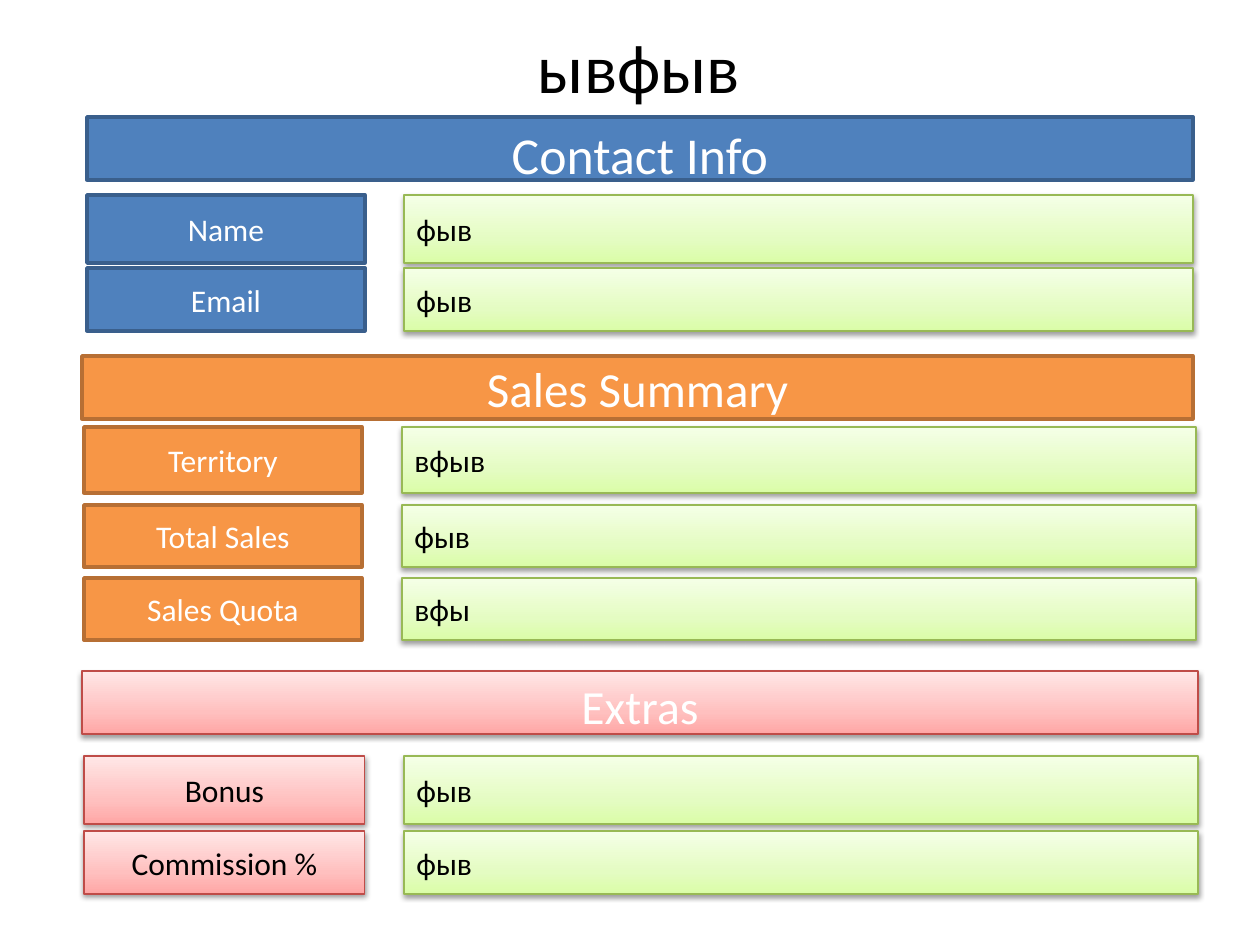
from lxml import etree
from pptx import Presentation
from pptx.dml.color import RGBColor
from pptx.enum.shapes import MSO_SHAPE
from pptx.enum.text import MSO_ANCHOR, MSO_AUTO_SIZE, PP_ALIGN
from pptx.oxml import parse_xml
from pptx.oxml.ns import nsdecls, qn
from pptx.util import Pt

RECT = MSO_SHAPE.RECTANGLE
TOP, MIDDLE = MSO_ANCHOR.TOP, MSO_ANCHOR.MIDDLE
LEFT, CENTER = PP_ALIGN.LEFT, PP_ALIGN.CENTER
PX = 914400 // 126
FONT = "Calibri"
COLORS = {"white": "FFFFFF", "black": "000000"}

# Box styles: one fill colour is flat, three make a gradient with a shadow
STYLES = {
    "blue": {"fill": ["4F81BD"], "line": "3A5F8C", "text": "white"},
    "orange": {"fill": ["F79646"], "line": "B76F34", "text": "white"},
    "red": {"fill": ["FFA6A5", "FFC0BF", "FFE7E7"], "line": "BF4C48", "text": "black"},
    "green": {"fill": ["DAFDA7", "E4FCC2", "F5FFE7"], "line": "98B955", "text": "black"},
}
STOPS = (0, 0.35, 1)

# Content: header is left, top, width; columns are left, width;
# rows are label, value, top, height
TITLE = "ывфыв"
HEADER_H = 63
SECTIONS = [
    {"title": "Contact Info", "style": "blue", "size": 29.6, "anchor": TOP,
     "header": (87, 117, 1106), "label": (87, 278), "field": (404, 789),
     "rows": [("Name", "фыв", 195, 68), ("Email", "фыв", 268, 63)]},
    {"title": "Sales Summary", "style": "orange", "size": 28, "anchor": MIDDLE,
     "header": (82, 356, 1111), "label": (84, 278), "field": (402, 794),
     "rows": [("Territory", "вфыв", 427, 66), ("Total Sales", "фыв", 505, 62),
              ("Sales Quota", "вфы", 578, 62)]},
    {"title": "Extras", "style": "red", "size": 27.2, "anchor": TOP,
     "header": (82, 671, 1116), "label": (84, 281), "field": (404, 794),
     "rows": [("Bonus", "фыв", 756, 68), ("Commission %", "фыв", 831, 63)]},
]


def rgb(value):
    return RGBColor.from_string(value)


def set_text(shape, text, size, color, align, anchor):
    tf = shape.text_frame
    tf.text = text
    tf.word_wrap = True
    tf.auto_size = MSO_AUTO_SIZE.NONE
    tf.vertical_anchor = anchor
    p = tf.paragraphs[0]
    p.alignment = align
    font = p.runs[0].font
    font.name, font.size = FONT, Pt(size)
    font.color.rgb = rgb(COLORS[color])
    return p


def add_gradient(shape, colors):
    fill = shape.fill
    fill.gradient()
    fill.gradient_angle = 90
    stops = shape._element.spPr.find(".//" + qn("a:gsLst"))
    stops.append(parse_xml(f'<a:gs {nsdecls("a")} pos="100000"><a:srgbClr val="{colors[-1]}"/></a:gs>'))
    for stop, position, color in zip(fill.gradient_stops, STOPS, colors):
        stop.position = position
        stop.color.rgb = rgb(color)


def add_shadow(shape):
    effects = shape._element.spPr.find(qn("a:effectLst"))
    effects.append(parse_xml(
        f'<a:outerShdw {nsdecls("a")} blurRad="40000" dist="20000" dir="5400000" rotWithShape="0">'
        '<a:srgbClr val="000000"><a:alpha val="38000"/></a:srgbClr></a:outerShdw>'))


def add_box(box, text, style, size=18, color=None, align=CENTER, anchor=MIDDLE):
    look = STYLES[style]
    shape = s.shapes.add_shape(RECT, *(v * PX for v in box))
    shape.shadow.inherit = False
    shape.line.color.rgb = rgb(look["line"])
    if len(look["fill"]) == 1:
        shape.fill.solid()
        shape.fill.fore_color.rgb = rgb(look["fill"][0])
        shape.line.width = Pt(2)
    else:
        add_gradient(shape, look["fill"])
        add_shadow(shape)
        shape.line.width = Pt(0.75)
    return set_text(shape, text, size, color or look["text"], align, anchor)


prs = Presentation()
prs.slide_width, prs.slide_height = 1260 * PX, 945 * PX
s = prs.slides.add_slide(prs.slide_layouts[5])

# Title
title = s.shapes.title
title.left, title.top, title.width, title.height = (v * PX for v in (360, 16, 558, 100))
set_text(title, TITLE, 39.6, "black", CENTER, MIDDLE)

# Sections: header bar, then a label and a field per row
for sec in SECTIONS:
    p = add_box((*sec["header"], HEADER_H), sec["title"], sec["style"],
                sec["size"], "white", anchor=sec["anchor"])
    if sec["anchor"] == TOP:
        before = etree.SubElement(p._p.get_or_add_pPr(), qn("a:spcBef"))
        etree.SubElement(before, qn("a:spcPct"), val="20000")
    label_x, label_w = sec["label"]
    field_x, field_w = sec["field"]
    for label, value, y, h in sec["rows"]:
        add_box((label_x, y, label_w, h), label, sec["style"])
        add_box((field_x, y, field_w, h), value, "green", align=LEFT)

prs.save("out.pptx")
